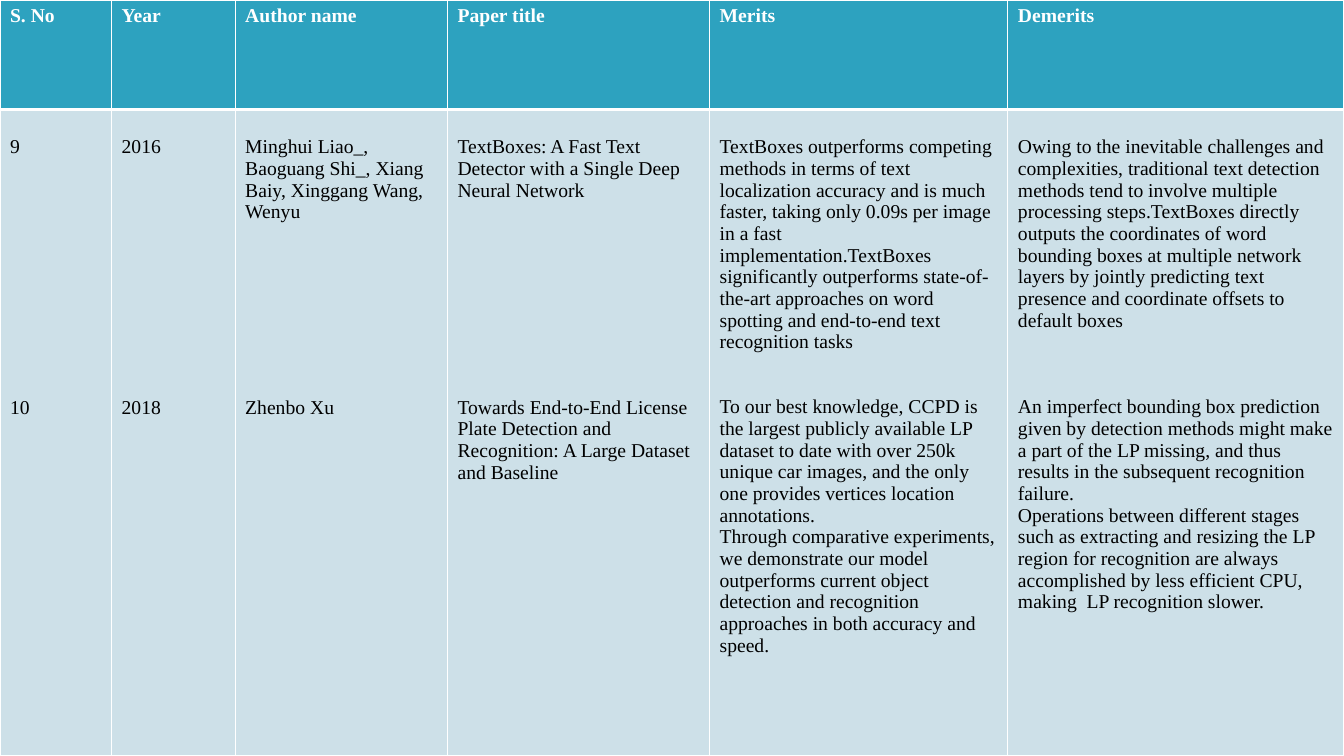
import pptx
import pptx.dml.color
import pptx.oxml
import pptx.oxml.ns
import pptx.util
from dataclasses import dataclass


@dataclass
class Theme:
    font: str = "Times New Roman"
    size: float = 14
    line_height: float = 15.5
    header_fill: str = "2DA2BF"
    body_fill: str = "CDE0E8"
    header_text: str = "FFFFFF"
    body_text: str = "000000"
    border: str = "FFFFFF"
    thin: float = 1
    thick: float = 3


# Shares of the slide's width and height
COLUMN_SHARES = [0.083, 0.092, 0.158, 0.195, 0.222, 0.25]
ROW_SHARES = [0.145, 0.855]

# The second paper starts this many lines below the first
PAPER_PITCH = 12

# Heading, first paper, lines the first paper takes, second paper
SURVEY = [
    ("S. No", "9", 1, ["10"]),
    ("Year", "2016", 1, ["2018"]),
    ("Author name",
     "Minghui Liao_, Baoguang Shi_, Xiang Baiy, Xinggang Wang, Wenyu", 4,
     ["Zhenbo Xu"]),
    ("Paper title",
     "TextBoxes: A Fast Text Detector with a Single Deep Neural Network", 3,
     ["Towards End-to-End License Plate Detection and Recognition: "
      "A Large Dataset and Baseline"]),
    ("Merits",
     "TextBoxes outperforms competing methods in terms of text localization "
     "accuracy and is much faster, taking only 0.09s per image in a fast "
     "implementation.TextBoxes significantly outperforms state-of-the-art "
     "approaches on word spotting and end-to-end text recognition tasks", 10,
     ["To our best knowledge, CCPD is the largest publicly available LP dataset "
      "to date with over 250k unique car images, and the only one provides "
      "vertices location annotations.",
      "Through comparative experiments, we demonstrate our model outperforms "
      "current object detection and recognition approaches in both accuracy "
      "and speed."]),
    ("Demerits",
     "Owing to the inevitable challenges and complexities, traditional text "
     "detection methods tend to involve multiple processing steps.TextBoxes "
     "directly outputs the coordinates of word bounding boxes at multiple "
     "network layers by jointly predicting text presence and coordinate "
     "offsets to default boxes", 9,
     ["An imperfect bounding box prediction given by detection methods might "
      "make a part of the LP missing, and thus results in the subsequent "
      "recognition failure.",
      "Operations between different stages such as extracting and resizing the "
      "LP region for recognition are always accomplished by less efficient "
      "CPU, making  LP recognition slower."]),
]


class SlideBuilder:
    def __init__(self, prs, theme):
        self.prs, self.theme = prs, theme
        self.s = prs.slides.add_slide(prs.slide_layouts[6])

    def table(self, column_shares, row_shares):
        width, height = self.prs.slide_width, self.prs.slide_height
        sp = self.s.shapes.add_table(
            len(row_shares), len(column_shares), 0, 0, width, height)
        tbl = sp.table
        tbl.horz_banding = False
        for column, share in zip(tbl.columns, column_shares):
            column.width = round(width * share)
        for row, share in zip(tbl.rows, row_shares):
            row.height = round(height * share)
        return tbl

    def cell(self, cell, paragraphs, fill, color, bold, borders, top_lines=0):
        """Fill a cell with (text, lines of space before) paragraphs."""
        theme = self.theme
        cell.fill.solid()
        cell.fill.fore_color.rgb = pptx.dml.color.RGBColor.from_string(fill)
        cell.margin_top = pptx.util.Inches(0.05) + pptx.util.Pt(
            top_lines * theme.line_height)
        self.borders(cell, borders)
        tf = cell.text_frame
        font = {"name": theme.font, "size": pptx.util.Pt(theme.size), "bold": bold}
        for i, (text, gap) in enumerate(paragraphs):
            p = tf.add_paragraph() if i else tf.paragraphs[0]
            p.space_before = pptx.util.Pt(gap * theme.line_height)
            r = p.add_run()
            r.text = text
            for name, value in font.items():
                setattr(r.font, name, value)
            r.font.color.rgb = pptx.dml.color.RGBColor.from_string(color)

    def borders(self, cell, widths):
        # Border lines come before the fill in the cell properties
        props = cell._tc.get_or_add_tcPr()
        for i, (side, width) in enumerate(widths.items()):
            props.insert(i, pptx.oxml.parse_xml(
                f'<a:ln{side} {pptx.oxml.ns.nsdecls("a")} w="{pptx.util.Pt(width)}">'
                f'<a:solidFill><a:srgbClr val="{self.theme.border}"/></a:solidFill>'
                f'</a:ln{side}>'))


def main():
    prs = pptx.Presentation()
    prs.slide_width = pptx.util.Inches(13.33)
    prs.slide_height = pptx.util.Inches(7.5)
    theme = Theme()
    builder = SlideBuilder(prs, theme)

    # Literature survey table
    tbl = builder.table(COLUMN_SHARES, ROW_SHARES)
    thin = dict.fromkeys("LRTB", theme.thin)
    for col, (heading, first, lines, second) in enumerate(SURVEY):
        # Header row with a thick rule below
        builder.cell(tbl.cell(0, col), [(heading, 0)], theme.header_fill,
                     theme.header_text, True, {**thin, "B": theme.thick})
        # Both papers, the second aligned across the columns
        gaps = [PAPER_PITCH - lines] + [0] * (len(second) - 1)
        builder.cell(tbl.cell(1, col), [(first, 0), *zip(second, gaps)],
                     theme.body_fill, theme.body_text, False,
                     {**thin, "T": theme.thick}, top_lines=1)

    prs.save("out.pptx")


if __name__ == "__main__":
    main()
